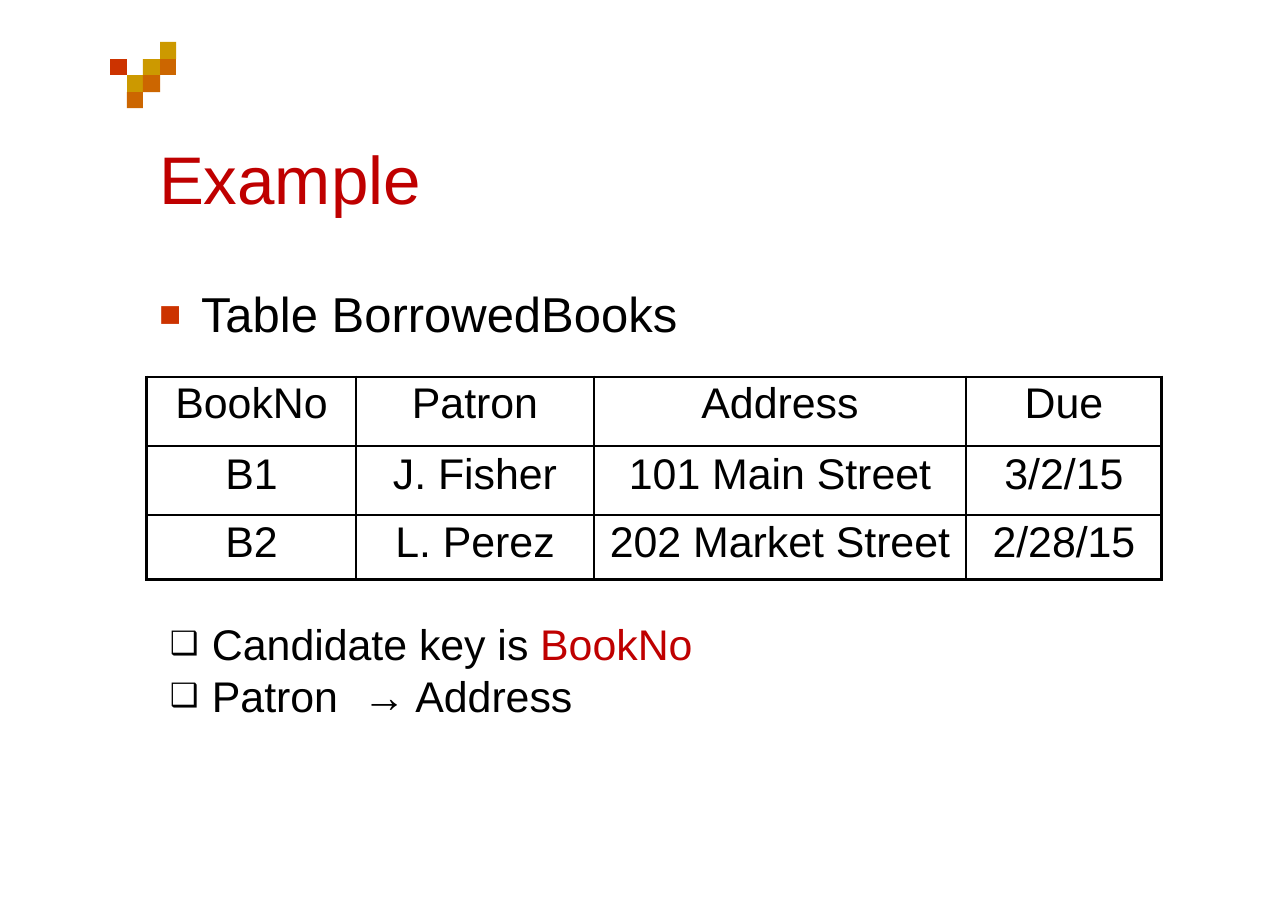
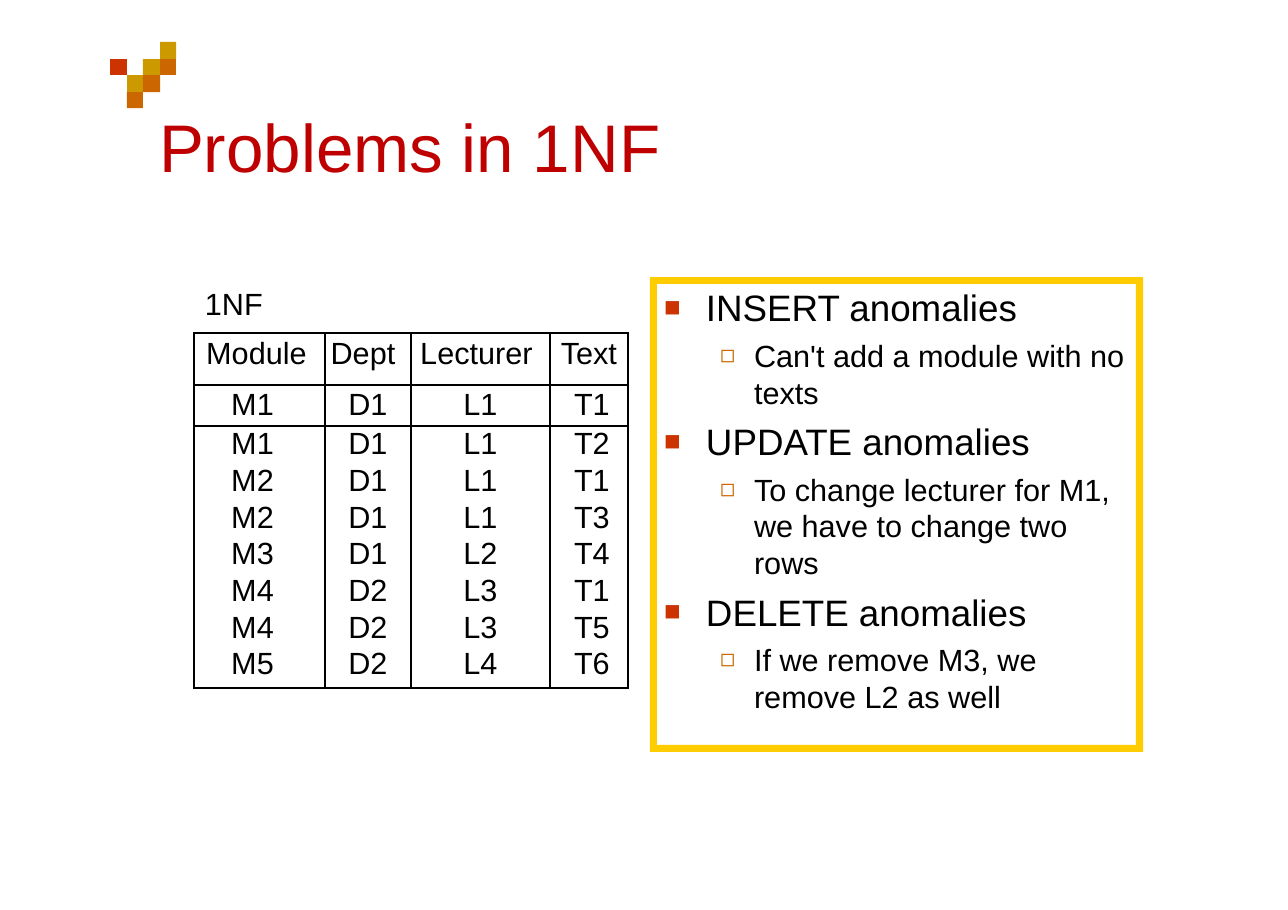
from lxml.etree import SubElement
from pptx import Presentation
from pptx.dml.color import RGBColor
from pptx.enum.shapes import MSO_SHAPE
from pptx.enum.text import MSO_ANCHOR, MSO_AUTO_SIZE, PP_ALIGN
from pptx.oxml.ns import qn
from pptx.util import Pt

SCALE = 8298  # EMU in one px
COLORS = {"title": "BF0000", "text": "000000", "frame": "FFCC00",
          "red": "CC3300", "orange": "CC6600", "gold": "CC9900"}
FONT = "Arial"

# Bullet styles: lengths in px, size and space before in points
BULLETS = {
    "main": dict(char="■", color="red", pct=75, left=43, hang=42, size=32, before=0),
    "box": dict(char="❑", color="text", pct=75, left=43, hang=42, size=28, before=0),
    "topic": dict(char="■", color="red", pct=75, left=43, hang=42, size=24, before=5.6),
    "detail": dict(char="◻", color="orange", pct=80, left=91, hang=34, size=20, before=5),
}


def px(n):
    return round(n * SCALE)


def rgb(name):
    return RGBColor.from_string(COLORS[name])


class Deck:
    """Holds the style and the current slide."""

    def __init__(self, width, height):
        self.prs = Presentation()
        self.prs.slide_width, self.prs.slide_height = px(width), px(height)
        self.slide = None

    def new_slide(self, layout, title, *box):
        self.slide = self.prs.slides.add_slide(self.prs.slide_layouts[layout])
        tf = self.frame_text(self.slide.shapes.title, box)
        self.run(tf.paragraphs[0], title, 44, "title")
        tf.paragraphs[0].alignment = PP_ALIGN.LEFT

    def master_squares(self, left, top, side, groups):
        """Draw the corner squares and hand them to the slide master."""
        master = self.prs.slide_master.shapes.element
        for i, (color, *cells) in enumerate(groups):
            builder = None
            for col, row in cells:
                x1, x2 = (round(left + side * n) for n in (col, col + 1))
                y1, y2 = (round(top + side * n) for n in (row, row + 1))
                if builder:
                    builder.move_to(x1, y1)
                else:
                    builder = self.slide.shapes.build_freeform(x1, y1, SCALE)
                builder.add_line_segments([(x2, y1), (x2, y2), (x1, y2)])
            sp = self.paint(builder.convert_to_shape(), color)
            sp.element.nvSpPr.cNvPr.set("id", str(100 + i))
            master.append(sp.element)

    def paint(self, sp, color):
        sp.shadow.inherit = False
        sp.fill.solid()
        sp.fill.fore_color.rgb = rgb(color)
        sp.line.fill.background()
        return sp

    def frame(self, x, y, w, h, thick):
        sp = self.slide.shapes.add_shape(MSO_SHAPE.FRAME, px(x), px(y), px(w), px(h))
        self.paint(sp, "frame").adjustments[0] = thick / min(w, h)

    def frame_text(self, sp, box, inset=1):
        sp.left, sp.top, sp.width, sp.height = map(px, box)
        tf = sp.text_frame
        style = dict(word_wrap=True, auto_size=MSO_AUTO_SIZE.NONE,
                     vertical_anchor=MSO_ANCHOR.TOP, margin_left=0,
                     margin_right=0, margin_bottom=0, margin_top=px(inset))
        for name, value in style.items():
            setattr(tf, name, value)
        return tf

    def run(self, p, text, size, color="text"):
        r = p.add_run()
        r.text = text
        for name, value in dict(name=FONT, size=Pt(size)).items():
            setattr(r.font, name, value)
        r.font.color.rgb = rgb(color)

    def label(self, text, size, *box):
        sp = self.slide.shapes.add_textbox(0, 0, 0, 0)
        self.run(self.frame_text(sp, box).paragraphs[0], text, size)

    def bullet(self, p, style, tab):
        pPr = p._p.get_or_add_pPr()
        pPr.set("marL", str(px(style["left"])))
        pPr.set("indent", str(-px(style["hang"])))
        color = SubElement(pPr, qn("a:buClr"))
        SubElement(color, qn("a:srgbClr"), val=COLORS[style["color"]])
        SubElement(pPr, qn("a:buSzPct"), val=str(style["pct"] * 1000))
        SubElement(pPr, qn("a:buFont"), typeface=FONT)
        SubElement(pPr, qn("a:buChar"), char=style["char"])
        if tab:
            tabs = SubElement(pPr, qn("a:tabLst"))
            SubElement(tabs, qn("a:tab"), pos=str(px(tab)), algn="l")

    def bullets(self, idx, items, *box, inset=1, tab=None):
        """Fill a body placeholder; an item is a style and its (text, color) runs."""
        tf = self.frame_text(self.slide.placeholders[idx], box, inset)
        for i, (kind, *runs) in enumerate(items):
            p = tf.add_paragraph() if i else tf.paragraphs[0]
            style = BULLETS[kind]
            p.level = 1 if kind == "detail" else 0
            self.bullet(p, style, tab)
            p.space_before = Pt(style["before"] if i else 0)
            p.line_spacing = 1.0
            for text, color in runs:
                self.run(p, text, style["size"], color)

    def border(self, tcPr, side, weight):
        ln = SubElement(tcPr, qn("a:ln" + side), w=str(Pt(weight)))
        if weight:
            fill = SubElement(ln, qn("a:solidFill"))
            SubElement(fill, qn("a:srgbClr"), val=COLORS["text"])
        else:
            SubElement(ln, qn("a:noFill"))

    def table(self, x, y, cols, heights, rows, size, outer, inner, ruled, insets, shifts):
        """Ruled: rows with a line below. Shifts: px off centre, by row and column."""
        last_row, last_col = len(rows) - 1, len(cols) - 1
        table = self.slide.shapes.add_table(len(rows), len(cols), px(x), px(y),
                                            px(sum(cols)), px(sum(heights))).table
        table.first_row = table.horz_banding = False
        for c, width in enumerate(cols):
            table.columns[c].width = px(width)
        for r, row in enumerate(rows):
            table.rows[r].height = px(heights[r])
            top = outer if r == 0 else inner * (r - 1 in ruled)
            bottom = outer if r == last_row else inner * (r in ruled)
            for c, text in enumerate(row):
                cell, shift = table.cell(r, c), shifts[min(r, 1)][c]
                margins = dict(margin_left=px(max(2 * shift, 0)),
                               margin_right=px(max(-2 * shift, 0)),
                               margin_top=px(insets[min(r, 2)]), margin_bottom=0)
                for name, value in margins.items():
                    setattr(cell, name, value)
                tcPr = cell._tc.get_or_add_tcPr()
                edges = dict(L=inner if c else outer,
                             R=outer if c == last_col else inner, T=top, B=bottom)
                for side, weight in edges.items():
                    self.border(tcPr, side, weight)
                cell.fill.background()
                p = cell.text_frame.paragraphs[0]
                p.alignment = PP_ALIGN.CENTER
                self.run(p, text, size)


def main():
    deck = Deck(1288, 910)

    # Slide 1: example table
    deck.new_slide(3, "Example", 159, 136, 264, 84)
    deck.master_squares(110, 42, 16.6, [
        ("gold", (2, 1), (3, 0)), ("orange", (3, 1)), ("gold", (1, 2)),
        ("red", (0, 1)), ("orange", (1, 3), (2, 2))])
    deck.bullets(1, [("main", ("Table BorrowedBooks", "text"))],
                 158, 283, 526, 62)
    deck.table(147, 377, [209, 238, 372, 196], [69, 69, 65], [
        ["BookNo", "Patron", "Address", "Due"],
        ["B1", "J. Fisher", "101 Main Street", "3/2/15"],
        ["B2", "L. Perez", "202 Market Street", "2/28/15"],
    ], size=28, outer=2.25, inner=1, ruled=(0, 1), insets=(3, 5, 4),
        shifts=[[0] * 4] * 2)
    deck.bullets(2, [
        ("box", ("Candidate key is ", "text"), ("BookNo", "title")),
        ("box", ("Patron\t→ Address", "text")),
    ], 169, 617, 527, 106, tab=194)

    # Slide 2: anomalies beside the 1NF table
    deck.new_slide(1, "Problems in 1NF", 159, 104, 505, 84)
    deck.frame(650, 277, 493, 475, 7)
    deck.bullets(1, [(kind, (text, "text")) for kind, text in [
        ("topic", "INSERT anomalies"),
        ("detail", "Can't add a module with no texts"),
        ("topic", "UPDATE anomalies"),
        ("detail", "To change lecturer for M1, we have to change two rows"),
        ("topic", "DELETE anomalies"),
        ("detail", "If we remove M3, we remove L2 as well"),
    ]], 663, 274, 466, 442, inset=11)
    deck.label("1NF", 20, 205, 284, 61, 40)
    deck.table(194, 333, [131, 86, 139, 78], [52, 41, 37, 37, 36, 37, 37, 36, 42], [
        ["Module", "Dept", "Lecturer", "Text"],
        ["M1", "D1", "L1", "T1"],
        ["M1", "D1", "L1", "T2"],
        ["M2", "D1", "L1", "T1"],
        ["M2", "D1", "L1", "T3"],
        ["M3", "D1", "L2", "T4"],
        ["M4", "D2", "L3", "T1"],
        ["M4", "D2", "L3", "T5"],
        ["M5", "D2", "L4", "T6"],
    ], size=20, outer=1.5, inner=1.5, ruled=(0, 1), insets=(4, 3, 1),
        shifts=[[-3, -5, -4, 0], [-7, 0, 0, 3]])

    deck.prs.save("out.pptx")


if __name__ == "__main__":
    main()
